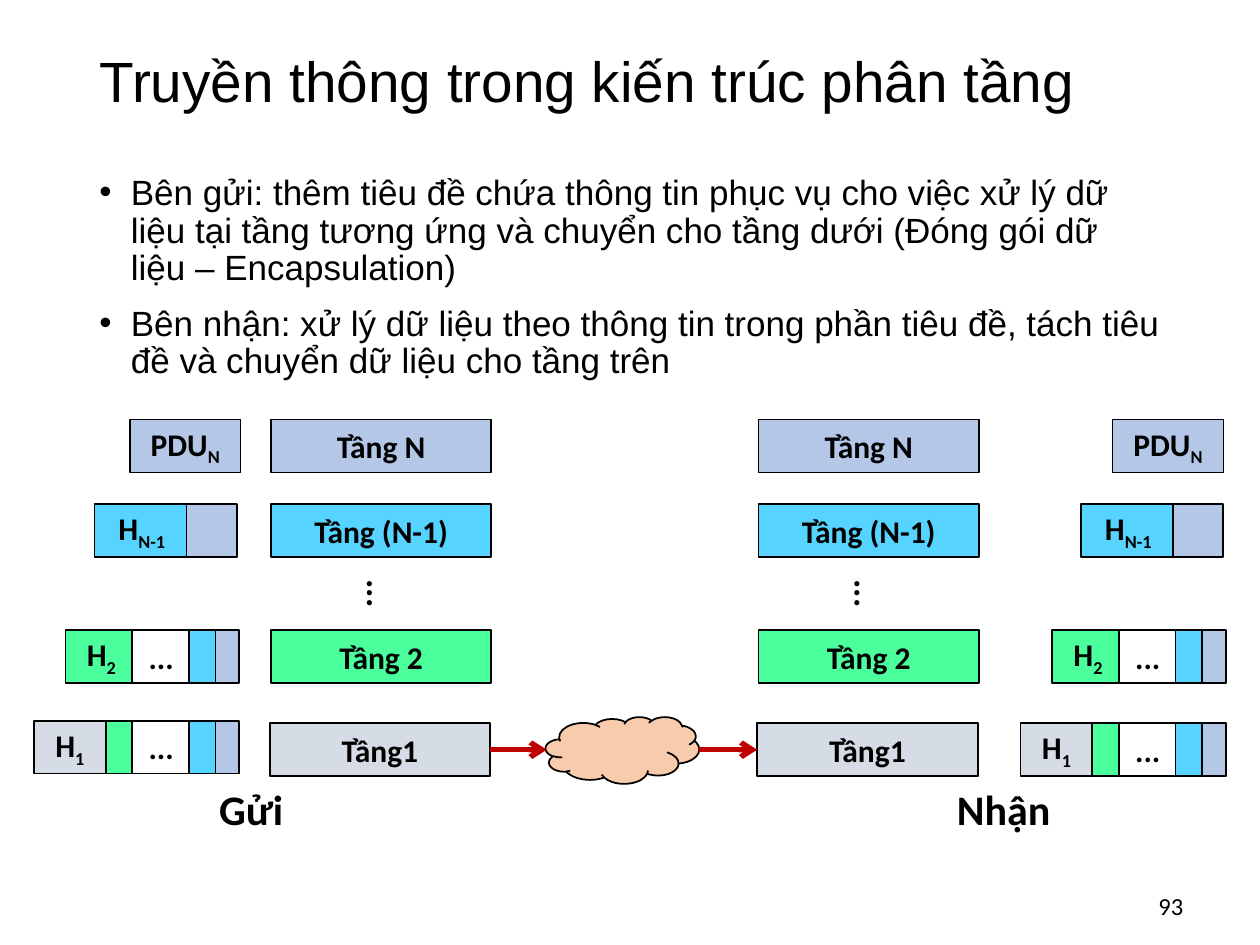
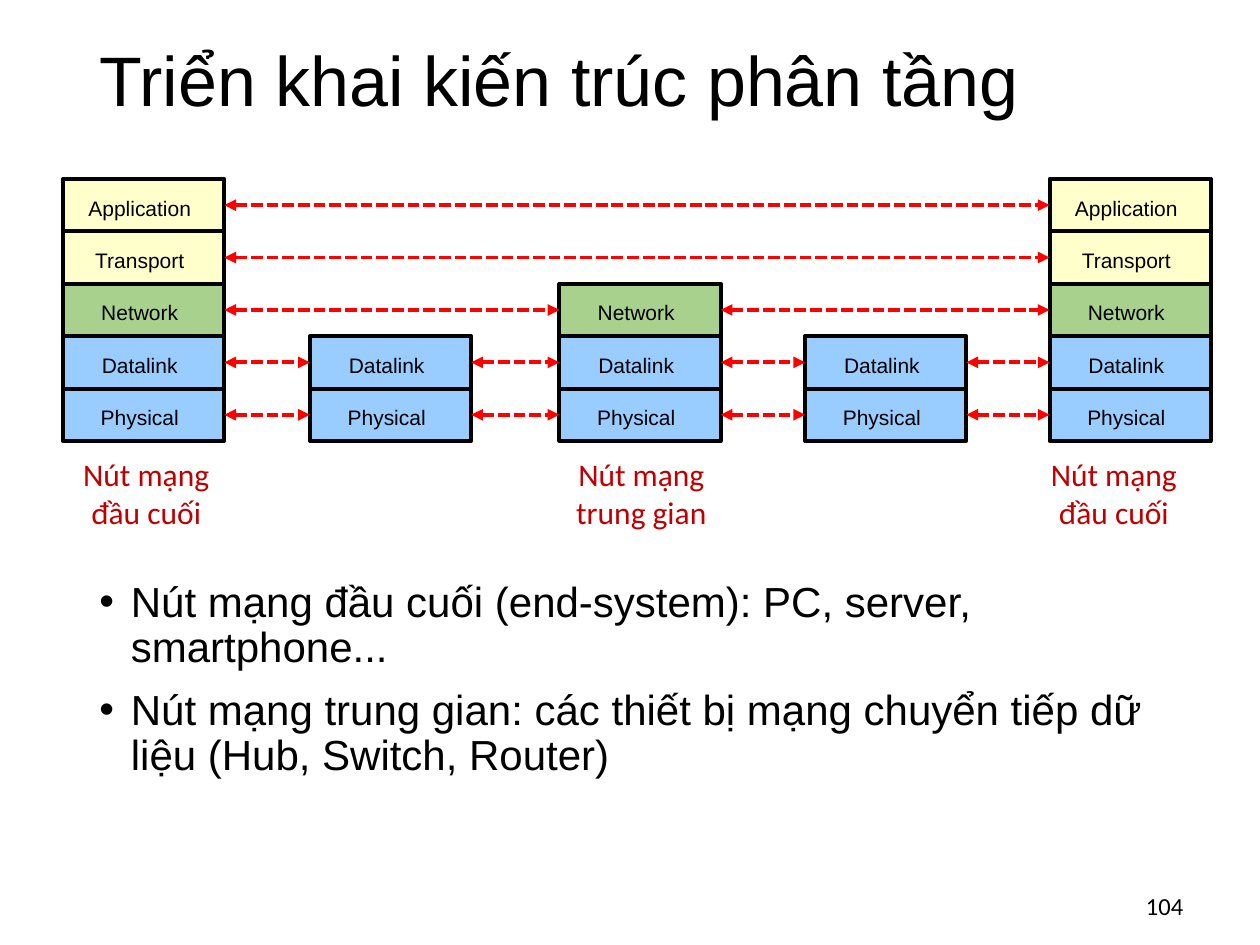
from itertools import pairwise

from lxml.etree import SubElement
from pptx import Presentation
from pptx.dml.color import RGBColor
from pptx.enum.dml import MSO_LINE
from pptx.enum.shapes import MSO_CONNECTOR, MSO_SHAPE
from pptx.enum.text import MSO_ANCHOR as ANCHOR, MSO_AUTO_SIZE, PP_ALIGN as ALIGN
from pptx.oxml.ns import qn
from pptx.util import Inches, Pt

COLORS = {
    "black": "000000", "white": "FFFFFF", "red": "FF0000", "dark_red": "C00000",
    "data": "B4C7E7", "sky": "57D3FF", "mint": "4BFF9C", "gray": "D6DCE5",
    "peach": "F8CBAD", "cream": "FFFFCC", "green": "A9D18E", "blue": "99CCFF",
}
HEADING_FONT, LABEL_FONT = "Arial", "Calibri"
CELL_H = 0.42

# Slide 1: layers as (label, top, colour), and the cells of each data unit
# as (label, left, width, colour) in stacking order
LAYERS = [("Tầng N", 3.33, "data"), ("Tầng (N-1)", 4, "sky"), ("Tầng 2", 5, "mint")]
TAIL_CELLS = [("...", 1.05, 0.46, "white"), ("", 1.68, 0.22, "data"),
              ("", 1.5, 0.21, "sky")]
UNIT_N1 = [(("H", "N-1"), 0.75, 0.75, "sky"), ("", 1.48, 0.4, "data")]
UNIT_2 = [(("H", "2"), 0.52, 0.57, "mint")] + TAIL_CELLS
UNIT_1 = [("", 0.8, 0.28, "mint")] + TAIL_CELLS + [(("H", "1"), 0.27, 0.57, "gray")]

# Slide 2: protocol stack from the top down, and nodes as (left, layer count)
STACK = [("Application", "cream"), ("Transport", "cream"), ("Network", "green"),
         ("Datalink", "blue"), ("Physical", "blue")]
NODES = [(0.5, 5), (2.46, 2), (4.44, 3), (6.39, 2), (8.33, 5)]
STACK_TOP, STACK_PITCH, NODE_W = 1.42, 0.416, 1.28


def rgb(name):
    return RGBColor.from_string(COLORS[name])


def write(tf, *paras, size=18, font=LABEL_FONT, color="black", bold=False,
          align=ALIGN.LEFT, anchor=ANCHOR.TOP, spacing=None, before=0, bullet=None):
    """Fill a text frame; a paragraph is a string or a (base, subscript) pair."""
    tf.word_wrap = True
    tf.auto_size = MSO_AUTO_SIZE.NONE
    tf.vertical_anchor = anchor
    for i, para in enumerate(paras):
        p = tf.add_paragraph() if i else tf.paragraphs[0]
        if bullet:
            pPr = p._p.get_or_add_pPr()
            pPr.set("marL", str(Inches(0.25)))
            pPr.set("indent", str(-Inches(0.25)))
            SubElement(pPr, qn("a:buFont")).set("typeface", font)
            SubElement(pPr, qn("a:buChar")).set("char", bullet)
        p.alignment = align
        p.space_before = Pt(before if i else 0)
        if spacing:
            p.line_spacing = spacing
        for k, text in enumerate((para,) if isinstance(para, str) else para):
            r = p.add_run()
            r.text = text
            r.font.size, r.font.name, r.font.bold = Pt(size), font, bold
            r.font.color.rgb = rgb(color)
            if k:
                r._r.get_or_add_rPr().set("baseline", "-25000")


def add_text(s, x, y, w, h, *paras, rotation=0, **fmt):
    box = s.shapes.add_textbox(Inches(x), Inches(y), Inches(w), Inches(h))
    box.rotation = rotation
    write(box.text_frame, *paras, **fmt)


def add_box(s, x, y, w, h, fill, text="", shape=MSO_SHAPE.RECTANGLE, line=1, **fmt):
    sp = s.shapes.add_shape(shape, Inches(x), Inches(y), Inches(w), Inches(h))
    sp.shadow.inherit = False
    sp.fill.solid()
    sp.fill.fore_color.rgb = rgb(fill)
    sp.line.color.rgb = rgb("black")
    sp.line.width = Pt(line)
    if text:
        write(sp.text_frame, text, align=ALIGN.CENTER, anchor=ANCHOR.MIDDLE,
              **{"bold": True, **fmt})
    return sp


def add_arrow(s, start, end, color, width, tail, head=None, dash=None):
    """Draw a line; an end is a point or a (shape, connection site) pair."""
    c = s.shapes.add_connector(MSO_CONNECTOR.STRAIGHT, 0, 0, 0, 0)
    if isinstance(start[0], (int, float)):
        c.begin_x, c.begin_y = map(Inches, start)
    else:
        c.begin_connect(*start)
    if isinstance(end[0], (int, float)):
        c.end_x, c.end_y = map(Inches, end)
    else:
        c.end_connect(*end)
    c.line.color.rgb = rgb(color)
    c.line.width = Pt(width)
    if dash:
        c.line.dash_style = dash
    spPr = c._element.spPr
    ln = spPr.find(qn("a:ln"))
    for tag, kind in (("a:headEnd", head), ("a:tailEnd", tail)):
        if kind:
            SubElement(ln, qn(tag)).set("type", kind)
    SubElement(spPr, qn("a:effectLst"))


def add_slide(prs, title, title_size, number):
    s = prs.slides.add_slide(prs.slide_layouts[5])
    t = s.shapes.title
    t.left, t.top, t.width, t.height = map(Inches, (0.69, 0.26, 8.62, 0.81))
    write(t.text_frame, title, size=title_size, font=HEADING_FONT,
          anchor=ANCHOR.MIDDLE, spacing=0.9)
    add_text(s, 8.86, 6.99, 0.63, 0.4, number, size=14, align=ALIGN.RIGHT,
             anchor=ANCHOR.MIDDLE)
    return s


def add_bullets(s, y, h, size, *items):
    add_text(s, 0.69, y, 8.62, h, *items, size=size, font=HEADING_FONT,
             spacing=0.9, before=10, bullet="•")


def add_layers(s, x):
    """Draw one host's layers and return the lowest one."""
    for label, y, color in LAYERS:
        add_box(s, x, y, 1.75, CELL_H, color, label)
    add_text(s, x + 0.58, 4.57, 0.58, 0.44, "...", size=20, bold=True, rotation=90)
    return add_box(s, x - 0.01, 5.74, 1.75, CELL_H, "gray", "Tầng1")


def add_data_units(s, dx, pdu_x, bottom_y):
    add_box(s, pdu_x, 3.33, 0.88, CELL_H, "data", ("PDU", "N"))
    for y, cells in ((4, UNIT_N1), (5, UNIT_2), (bottom_y, UNIT_1)):
        for label, x, w, color in cells:
            add_box(s, x + dx, y, w, CELL_H, color, label)


def add_node(s, x, count):
    """Draw the lowest layers of the stack and return them by name."""
    layers = {}
    for i, (name, color) in list(enumerate(STACK))[-count:]:
        sp = add_box(s, x, STACK_TOP + i * STACK_PITCH, NODE_W, STACK_PITCH, color,
                     name, line=2.25, size=12, font=HEADING_FONT, bold=False)
        tf = sp.text_frame
        tf.margin_right, tf.margin_top, tf.margin_bottom = map(
            Inches, (0.16, 0.07, 0.03))
        layers[name] = sp
    return layers


def build_communication(prs):
    s = add_slide(prs, "Truyền thông trong kiến trúc phân tầng", 32.4, "93")
    add_bullets(
        s, 1.34, 1.9, 20,
        "Bên gửi: thêm tiêu đề chứa thông tin phục vụ cho việc xử lý dữ liệu tại "
        "tầng tương ứng và chuyển cho tầng dưới (Đóng gói dữ liệu – Encapsulation)",
        "Bên nhận: xử lý dữ liệu theo thông tin trong phần tiêu đề, tách tiêu đề và "
        "chuyển dữ liệu cho tầng trên")

    # Sender and receiver
    sender = add_layers(s, 2.15)
    receiver = add_layers(s, 6.02)
    add_data_units(s, 0, 1.03, 5.72)
    add_data_units(s, 7.83, 8.83, 5.74)

    # Network between the lowest layers
    add_box(s, 4.33, 5.69, 1.22, 0.53, "peach", shape=MSO_SHAPE.CLOUD)
    add_arrow(s, (sender, 3), (4.34, 5.95), "dark_red", 3, "arrow")
    add_arrow(s, (5.55, 5.95), (receiver, 1), "dark_red", 3, "arrow")
    add_text(s, 1.64, 6.17, 1.64, 0.5, "Gửi", size=24, bold=True)
    add_text(s, 6.84, 6.17, 2.25, 0.5, "Nhận", size=24, bold=True,
             align=ALIGN.CENTER)


def build_deployment(prs):
    s = add_slide(prs, "Triển khai kiến trúc phân tầng", 40, "104")

    # Each layer is linked with the same layer of the next node that has it
    nodes = [add_node(s, x, count) for x, count in NODES]
    for name, _ in STACK:
        peers = [node[name] for node in nodes if name in node]
        for left, right in pairwise(peers):
            add_arrow(s, (left, 3), (right, 1), "red", 2.25, "triangle",
                      head="triangle", dash=MSO_LINE.SQUARE_DOT)

    # Node captions
    for x, kind in ((0.5, "đầu cuối"), (4.43, "trung gian"), (8.18, "đầu cuối")):
        add_text(s, x, 3.56, 1.32, 0.71, "Nút mạng", kind, color="dark_red",
                 align=ALIGN.CENTER)

    add_bullets(
        s, 4.56, 2.2, 24,
        "Nút mạng đầu cuối (end-system): PC, server, smartphone...",
        "Nút mạng trung gian: các thiết bị mạng chuyển tiếp dữ liệu "
        "(Hub, Switch, Router)")


def main():
    prs = Presentation()
    prs.slide_width, prs.slide_height = Inches(10), Inches(7.5)
    build_communication(prs)
    build_deployment(prs)
    prs.save("out.pptx")


if __name__ == "__main__":
    main()
